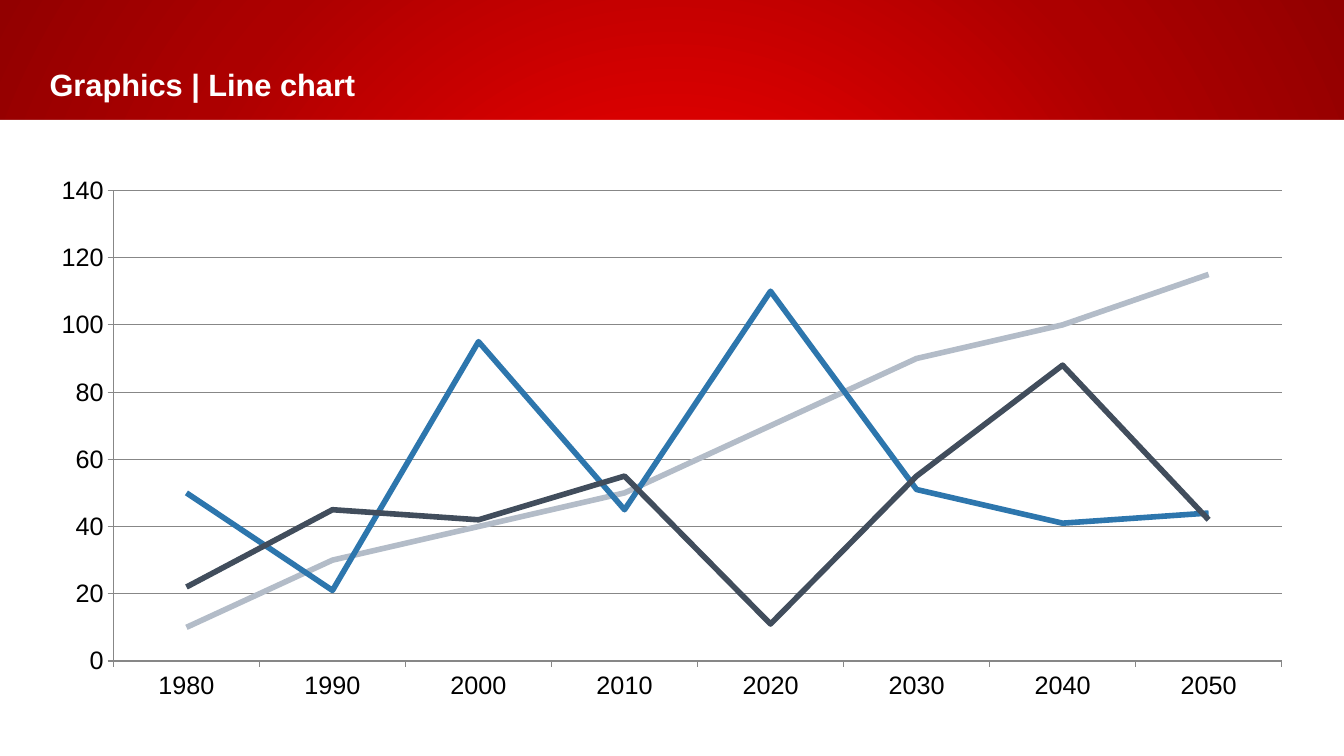
from dataclasses import dataclass

from lxml.etree import SubElement
from pptx import Presentation
from pptx.chart.data import CategoryChartData
from pptx.dml.color import RGBColor
from pptx.enum.chart import XL_CHART_TYPE, XL_MARKER_STYLE, XL_TICK_MARK
from pptx.enum.shapes import MSO_SHAPE
from pptx.enum.text import MSO_ANCHOR, MSO_AUTO_SIZE, PP_ALIGN
from pptx.oxml import parse_xml
from pptx.oxml.ns import nsdecls, qn
from pptx.util import Cm, Pt


@dataclass(frozen=True)
class Theme:
    font: str = "Arial"
    title_size: int = 22
    chart_size: int = 18
    line_width: float = 4
    grid_width: float = 0.75
    white: str = "FFFFFF"
    black: str = "000000"
    grid: str = "878787"
    series: tuple = ("B3BCC8", "2D76AD", "414D5C")
    glow: tuple = ((0, "EF0000"), (16, "EF0000"), (69, "AC0000"), (100, "920000"))


def set_format(obj, formats):
    for name, value in formats.items():
        setattr(obj, name, value)


class SlideBuilder:
    def __init__(self, prs, theme):
        self.theme = theme
        self.s = prs.slides.add_slide(prs.slide_layouts.get_by_name("Title Only"))

    def format_font(self, font, size, color, bold=False):
        set_format(font, {"name": self.theme.font, "size": Pt(size), "bold": bold})
        font.color.rgb = RGBColor.from_string(color)

    def format_line(self, line, color, width):
        line.color.rgb = RGBColor.from_string(color)
        line.width = Pt(width)

    def radial_background(self):
        self.s.background.fill.gradient()
        old = self.s.element.find(".//" + qn("a:gradFill"))
        stops = "".join(
            f'<a:gs pos="{pos * 1000}"><a:srgbClr val="{color}"/></a:gs>'
            for pos, color in self.theme.glow
        )
        center = '<a:fillToRect l="50000" t="50000" r="50000" b="50000"/>'
        old.getparent().replace(old, parse_xml(
            f'<a:gradFill {nsdecls("a")} rotWithShape="1"><a:gsLst>{stops}</a:gsLst>'
            f'<a:path path="circle">{center}</a:path></a:gradFill>'
        ))

    def panel(self, *box):
        """Add a plain white area behind the other elements."""
        sp = self.s.shapes.add_shape(MSO_SHAPE.RECTANGLE, *map(Cm, box))
        sp.shadow.inherit = False
        sp.fill.solid()
        sp.fill.fore_color.rgb = RGBColor.from_string(self.theme.white)
        sp.line.fill.background()
        self.s.shapes.element.insert(2, sp.element)

    def title(self, text, left, top, width, height):
        sp = self.s.shapes.title
        set_format(sp, {"left": Cm(left), "top": Cm(top),
                        "width": Cm(width), "height": Cm(height)})
        tf = sp.text_frame
        set_format(tf, {
            "word_wrap": True, "auto_size": MSO_AUTO_SIZE.SHAPE_TO_FIT_TEXT,
            "vertical_anchor": MSO_ANCHOR.BOTTOM,
            "margin_left": Cm(1.25), "margin_right": Cm(0.25),
            "margin_top": Cm(0.4), "margin_bottom": Cm(0.4),
        })
        p = tf.paragraphs[0]
        p.alignment = PP_ALIGN.LEFT
        r = p.add_run()
        r.text = text
        self.format_font(r.font, self.theme.title_size, self.theme.white, bold=True)

    def line_chart(self, categories, series, box, plot_box):
        theme = self.theme
        data = CategoryChartData()
        data.categories = categories
        for name, values in series.items():
            data.add_series(name, values)
        chart = self.s.shapes.add_chart(XL_CHART_TYPE.LINE, *map(Cm, box), data).chart
        set_format(chart, {"has_legend": False, "has_title": False})
        self.format_font(chart.font, theme.chart_size, theme.black)

        plot = chart.plots[0]
        plot.vary_by_categories = False
        for line, color in zip(plot.series, theme.series):
            line.smooth = False
            line.marker.style = XL_MARKER_STYLE.NONE
            self.format_line(line.format.line, color, theme.line_width)

        set_format(chart.value_axis, {"minimum_scale": 0, "maximum_scale": 140,
                                      "major_unit": 20, "has_major_gridlines": True})
        for axis in (chart.category_axis, chart.value_axis):
            set_format(axis, {"major_tick_mark": XL_TICK_MARK.OUTSIDE,
                              "minor_tick_mark": XL_TICK_MARK.NONE})
            self.format_line(axis.format.line, theme.grid, theme.grid_width)
        grid = chart.value_axis.major_gridlines.format.line
        self.format_line(grid, theme.grid, theme.grid_width)
        self.place_plot(chart, plot_box)

    def place_plot(self, chart, plot_box):
        """Fix the inner plot area, as fractions of the chart frame."""
        area = chart.element.find(".//" + qn("c:plotArea"))
        for old in area.findall(qn("c:layout")):
            area.remove(old)
        layout = parse_xml(f'<c:layout {nsdecls("c")}/>')
        area.insert(0, layout)
        manual = SubElement(layout, qn("c:manualLayout"))
        settings = {"layoutTarget": "inner", "xMode": "edge", "yMode": "edge"}
        settings.update(zip("xywh", plot_box))
        for tag, value in settings.items():
            SubElement(manual, qn(f"c:{tag}"), val=str(value))


def main():
    prs = Presentation()
    set_format(prs, {"slide_width": Cm(33.87), "slide_height": Cm(19.05)})
    slide = SlideBuilder(prs, Theme())
    slide.radial_background()
    slide.panel(0, 3.02, 33.87, 16.03)
    slide.title("Graphics | Line chart", 0, 1.25, 28.17, 1.75)
    slide.line_chart(
        [str(year) for year in range(1980, 2051, 10)],
        {
            "Series 1": (10, 30, 40, 50, 70, 90, 100, 115),
            "Series 2": (50, 21, 95, 45, 110, 51, 41, 44),
            "Series 3": (22, 45, 42, 55, 11, 55, 88, 42),
        },
        box=(0.94, 4.11, 32, 13.79),
        plot_box=(0.06, 0.05, 0.92, 0.86),
    )
    prs.save("out.pptx")


if __name__ == "__main__":
    main()
